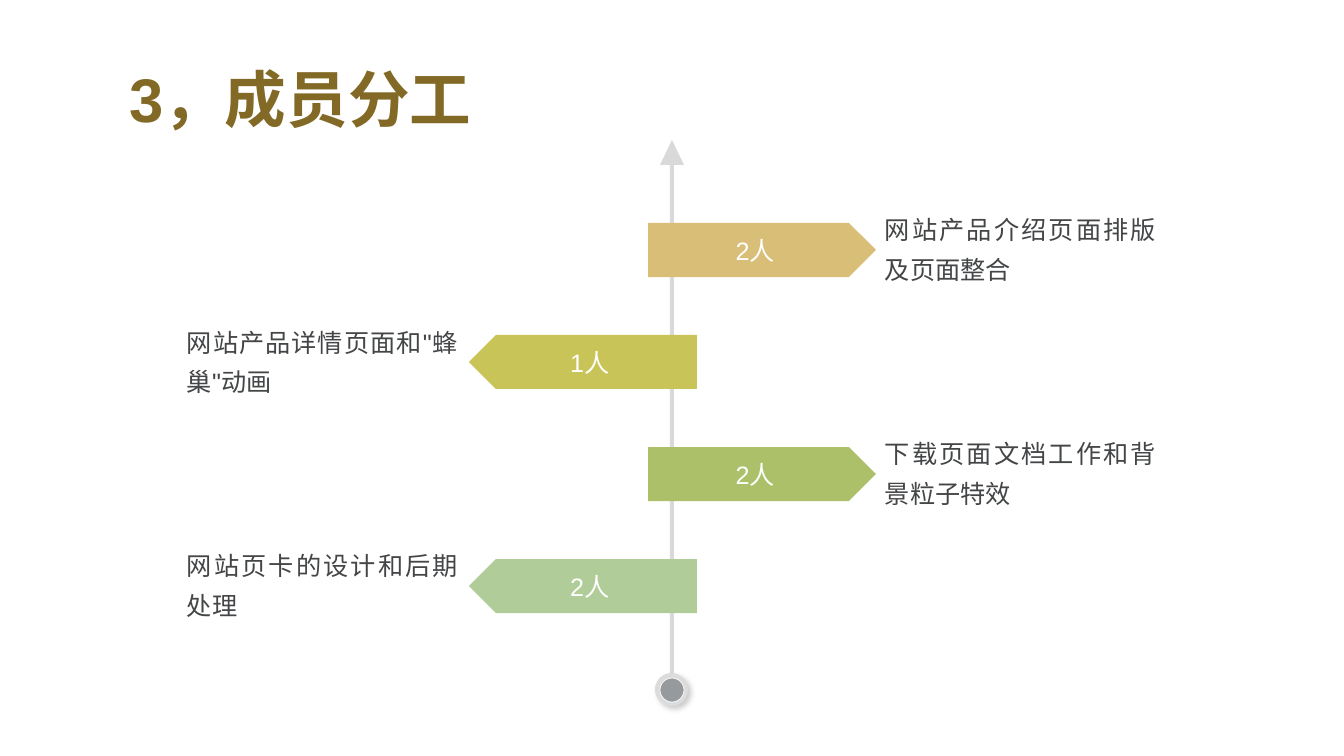
from lxml import etree
from pptx import Presentation
from pptx.dml.color import RGBColor
from pptx.enum.shapes import MSO_SHAPE
from pptx.enum.text import MSO_ANCHOR, MSO_AUTO_SIZE, PP_ALIGN
from pptx.oxml import parse_xml
from pptx.util import Pt

OVAL, PLATE = MSO_SHAPE.OVAL, MSO_SHAPE.PENTAGON
MIDDLE, FIXED = MSO_ANCHOR.MIDDLE, MSO_AUTO_SIZE.NONE
LEFT, CENTER, JUSTIFY = PP_ALIGN.LEFT, PP_ALIGN.CENTER, PP_ALIGN.JUSTIFY

WIDE, HIGH = 1344, 756
SCALE = 12192000 / WIDE
FONT = "Arial"
BROWN = RGBColor(0x82, 0x69, 0x25)
INK = RGBColor(0x43, 0x45, 0x47)
WHITE = RGBColor(0xFF, 0xFF, 0xFF)
AXIS = RGBColor(0xD9, 0xD9, 0xD9)
RING = RGBColor(0xDC, 0xDC, 0xDC)
DOT = RGBColor(0x97, 0x9A, 0x9C)
SAND = RGBColor(0xD8, 0xBE, 0x76)
LIME = RGBColor(0xC9, 0xC4, 0x57)
GREEN = RGBColor(0xAB, 0xC0, 0x68)
MINT = RGBColor(0xB0, 0xCC, 0x98)

TASKS = [
    ("2人", SAND, "网站产品介绍页面排版及页面整合"),
    ("1人", LIME, '网站产品详情页面和"蜂巢"动画'),
    ("2人", GREEN, "下载页面文档工作和背景粒子特效"),
    ("2人", MINT, "网站页卡的设计和后期处理"),
]
TOP, STEP = 223, 112
TAG_W, TAG_H = 228, 54
NOTE_W, NOTE_H = 291, 134

SHADOW = (
    '<a:effectLst xmlns:a="http://schemas.openxmlformats.org/drawingml/2006/main">'
    '<a:outerShdw blurRad="50800" dist="38100" dir="2700000" algn="tl" rotWithShape="0">'
    '<a:srgbClr val="000000"><a:alpha val="20000"/></a:srgbClr>'
    '</a:outerShdw></a:effectLst>'
)


def px(num):
    return round(num * SCALE)


def write(shape, text, size=18, color=INK, bold=False, align=LEFT, space=None, inset=None):
    frame = shape.text_frame
    frame.word_wrap = True
    frame.auto_size = FIXED
    frame.vertical_anchor = MIDDLE
    if inset is not None:
        frame.margin_left = frame.margin_right = px(inset)
        frame.margin_top = frame.margin_bottom = px(inset)
    para = frame.paragraphs[0]
    para.alignment = align
    para.line_spacing = space
    run = para.add_run()
    run.text = text
    run.font.name = FONT
    run.font.size = Pt(size)
    run.font.bold = bold
    run.font.color.rgb = color


def paint(shape, fill, line=None):
    shape.shadow.inherit = False
    shape.fill.solid()
    shape.fill.fore_color.rgb = fill
    if line is None:
        shape.line.fill.background()
    else:
        shape.line.color.rgb = line
        shape.line.width = Pt(0.5)


def add_form(slide, kind, x, y, w, h, fill, line=None):
    shape = slide.shapes.add_shape(kind, px(x), px(y), px(w), px(h))
    paint(shape, fill, line)
    return shape


def add_title(slide, text):
    title = slide.shapes.title
    title.left, title.top, title.width, title.height = map(px, (119, 57, 1024, 82))
    write(title, text, size=44, color=BROWN, bold=True)


def add_axis(slide):
    """Draw the upright arrow and the round foot it stands on."""
    edge = [(684, 165), (674, 165), (674, 679), (670, 679), (670, 165), (660, 165)]
    pen = slide.shapes.build_freeform(px(672), px(140))
    pen.add_line_segments([(px(x), px(y)) for x, y in edge], close=True)
    paint(pen.convert_to_shape(), AXIS)
    ring = add_form(slide, OVAL, 655, 673, 33, 33, RING)
    props = ring.element.spPr
    props.replace(props.find("{*}effectLst"), parse_xml(SHADOW))
    add_form(slide, OVAL, 660, 678, 24, 24, DOT, WHITE)


def add_task(slide, row, count, fill, text):
    """Place a tag and its note, to the right on even rows, else to the left."""
    right = row % 2 == 0
    y = TOP + row * STEP
    tag = add_form(slide, PLATE, 648 if right else 469, y, TAG_W, TAG_H, fill)
    if not right:
        tag.element.spPr.xfrm.set("flipH", "1")
    write(tag, count, color=WHITE, align=CENTER, inset=0)
    note = slide.shapes.add_textbox(
        px(875 if right else 177), px(y - 45), px(NOTE_W), px(NOTE_H))
    write(note, text, align=JUSTIFY, space=1.3)


def main():
    deck = Presentation()
    deck.slide_width, deck.slide_height = px(WIDE), px(HIGH)
    slide = deck.slides.add_slide(deck.slide_layouts[5])
    add_title(slide, "3，成员分工")
    add_axis(slide)
    for row, task in enumerate(TASKS):
        add_task(slide, row, *task)
    deck.save("out.pptx")


if __name__ == "__main__":
    main()
